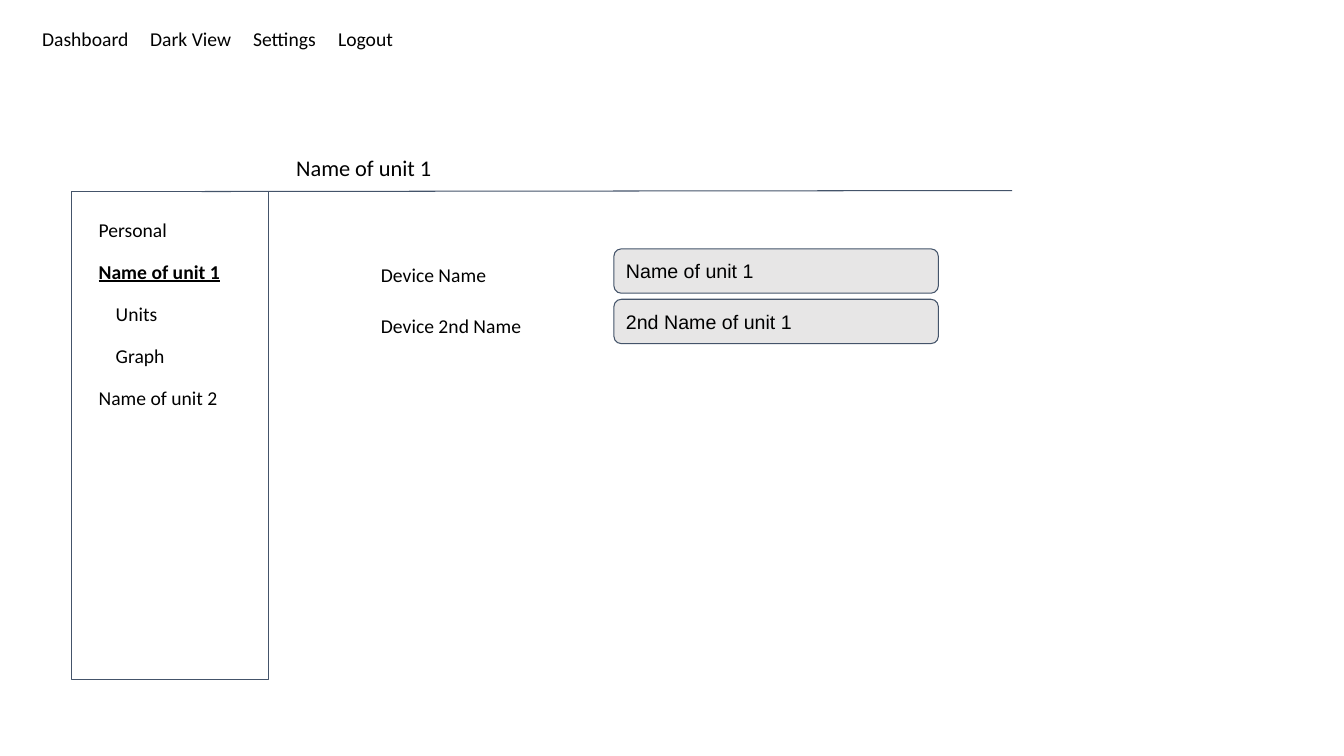
from lxml.etree import SubElement
from pptx import Presentation
from pptx.dml.color import RGBColor
from pptx.enum.shapes import MSO_CONNECTOR, MSO_SHAPE
from pptx.enum.text import MSO_ANCHOR, MSO_AUTO_SIZE, PP_ALIGN
from pptx.oxml.ns import qn
from pptx.util import Pt

COLORS = {"text": "000000", "line": "44546A", "field": "E7E6E6"}
NAV = ["Dashboard", "Dark View", "Settings", "Logout"]
NAV_TABS = [77.2, 150.7, 211.4]
TITLE = "Name of unit 1"
MENU = [
    ("Personal", 0, {}),
    ("Name of unit 1", 0, {"bold": True, "underline": True}),
    ("Units", 1, {}),
    ("Graph", 1, {}),
    ("Name of unit 2", 0, {}),
]
FIELDS = [("Device Name", "Name of unit 1"), ("Device 2nd Name", "2nd Name of unit 1")]

PANEL = (51.1, 136.8, 140.4, 348.5)
MENU_LEFT, MENU_TOP, MENU_STEP, MENU_INDENT = 63.4, 148.3, 30.06, 12.2
FIELD_TOP, FIELD_STEP, LABEL_DROP = 177.8, 36, 2.9
ROW_H = 31.7


def color(name):
    return RGBColor.from_string(COLORS[name])


def write(shape, text, tabs=(), **fmt):
    tf = shape.text_frame
    settings = {"word_wrap": True, "margin_left": Pt(7.2), "margin_right": Pt(7.2),
                "margin_top": Pt(7.2), "margin_bottom": Pt(7.2)}
    for name, value in settings.items():
        setattr(tf, name, value)
    p = tf.paragraphs[0]
    p.alignment = PP_ALIGN.LEFT
    if tabs:
        tab_list = SubElement(p._p.get_or_add_pPr(), qn("a:tabLst"))
        for pos in tabs:
            SubElement(tab_list, qn("a:tab"), pos=str(Pt(pos)), algn="l")
    r = p.add_run()
    r.text = text
    for name, value in {"name": "Calibri", "size": Pt(14), **fmt}.items():
        setattr(r.font, name, value)
    r.font.color.rgb = color("text")
    return tf


def add_label(s, text, left, top, width, height=ROW_H, **fmt):
    box = s.shapes.add_textbox(Pt(left), Pt(top), Pt(width), Pt(height))
    write(box, text, **fmt).auto_size = MSO_AUTO_SIZE.SHAPE_TO_FIT_TEXT


def add_box(s, kind, left, top, width, height, fill=None):
    sp = s.shapes.add_shape(kind, Pt(left), Pt(top), Pt(width), Pt(height))
    sp.shadow.inherit = False
    if fill:
        sp.fill.solid()
        sp.fill.fore_color.rgb = color(fill)
    else:
        sp.fill.background()
    sp.line.color.rgb = color("line")
    sp.line.width = Pt(0.75)
    return sp


def add_rule(s, x1, y1, x2, y2):
    rule = s.shapes.add_connector(MSO_CONNECTOR.STRAIGHT, Pt(x1), Pt(y1), Pt(x2), Pt(y2))
    rule.line.color.rgb = color("line")
    rule.line.width = Pt(0.75)
    SubElement(rule._element.spPr, qn("a:effectLst"))


def main():
    prs = Presentation()
    prs.slide_width, prs.slide_height = Pt(960), Pt(540)
    s = prs.slides.add_slide(prs.slide_layouts[6])

    add_label(s, "\t".join(NAV), 23, 12.2, 299.5, tabs=NAV_TABS)
    add_rule(s, 144, 136.8, 722.9, 136.1)
    add_label(s, TITLE, 204.5, 103, 155.5, 33.8, size=Pt(16))

    add_box(s, MSO_SHAPE.RECTANGLE, *PANEL)
    for i, (text, level, fmt) in enumerate(MENU):
        add_label(s, text, MENU_LEFT + level * MENU_INDENT, MENU_TOP + i * MENU_STEP, 112.3, **fmt)

    for i, (label, value) in enumerate(FIELDS):
        top = FIELD_TOP + i * FIELD_STEP
        field = add_box(s, MSO_SHAPE.ROUNDED_RECTANGLE, 438.5, top, 231.8, ROW_H, "field")
        write(field, value, name="Arial").vertical_anchor = MSO_ANCHOR.MIDDLE
        add_label(s, label, 265, top + LABEL_DROP, 146.2)

    prs.save("out.pptx")


if __name__ == "__main__":
    main()
